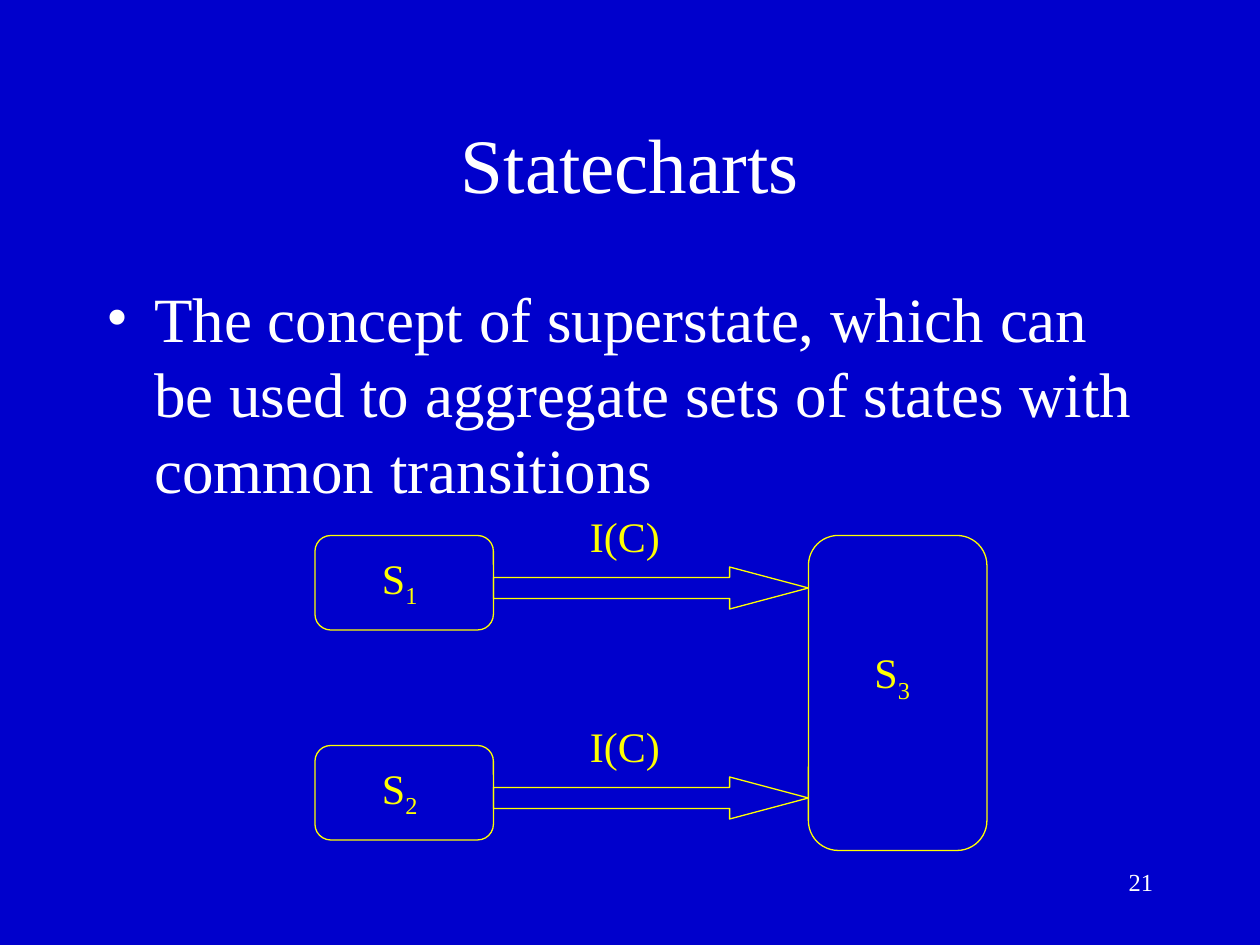
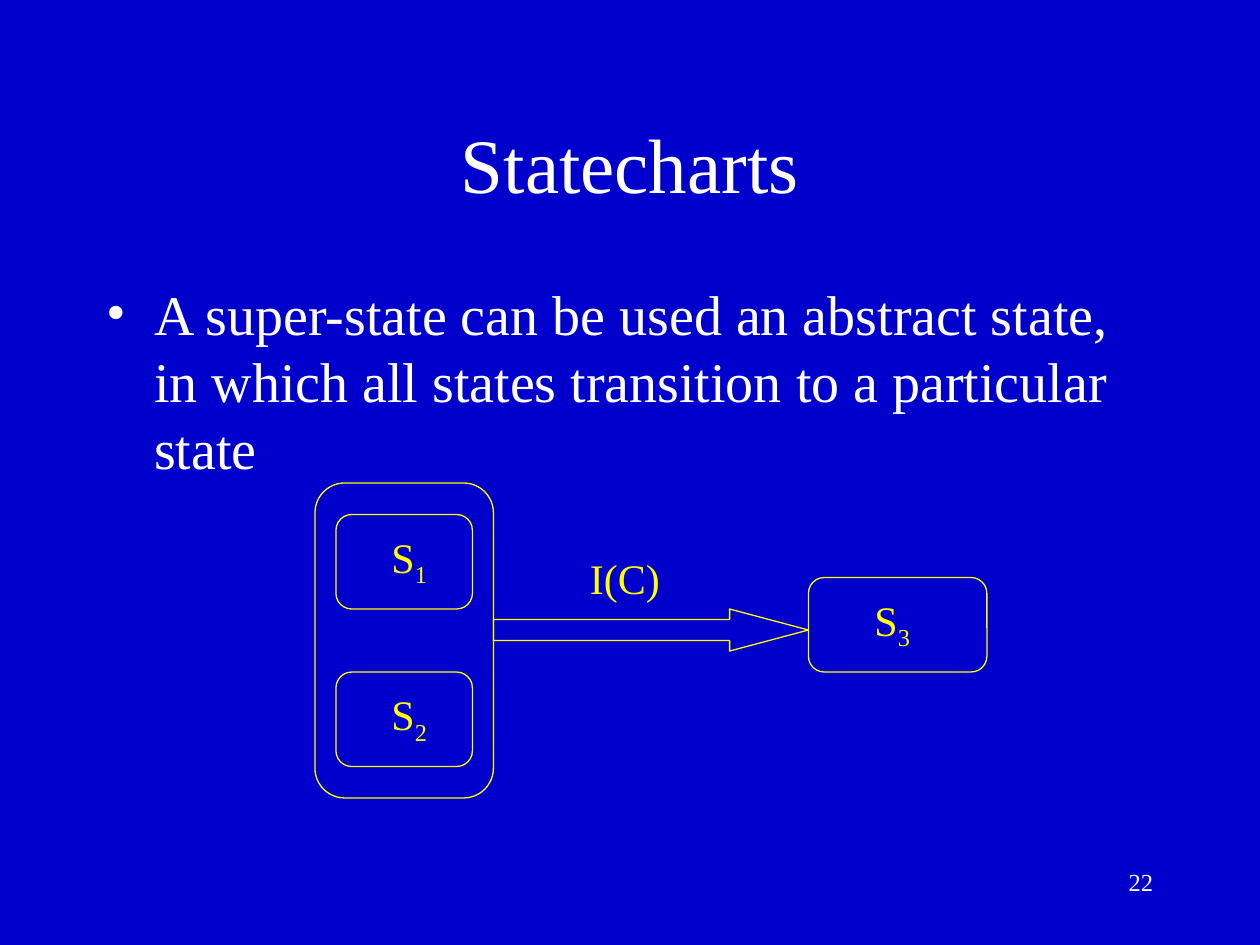
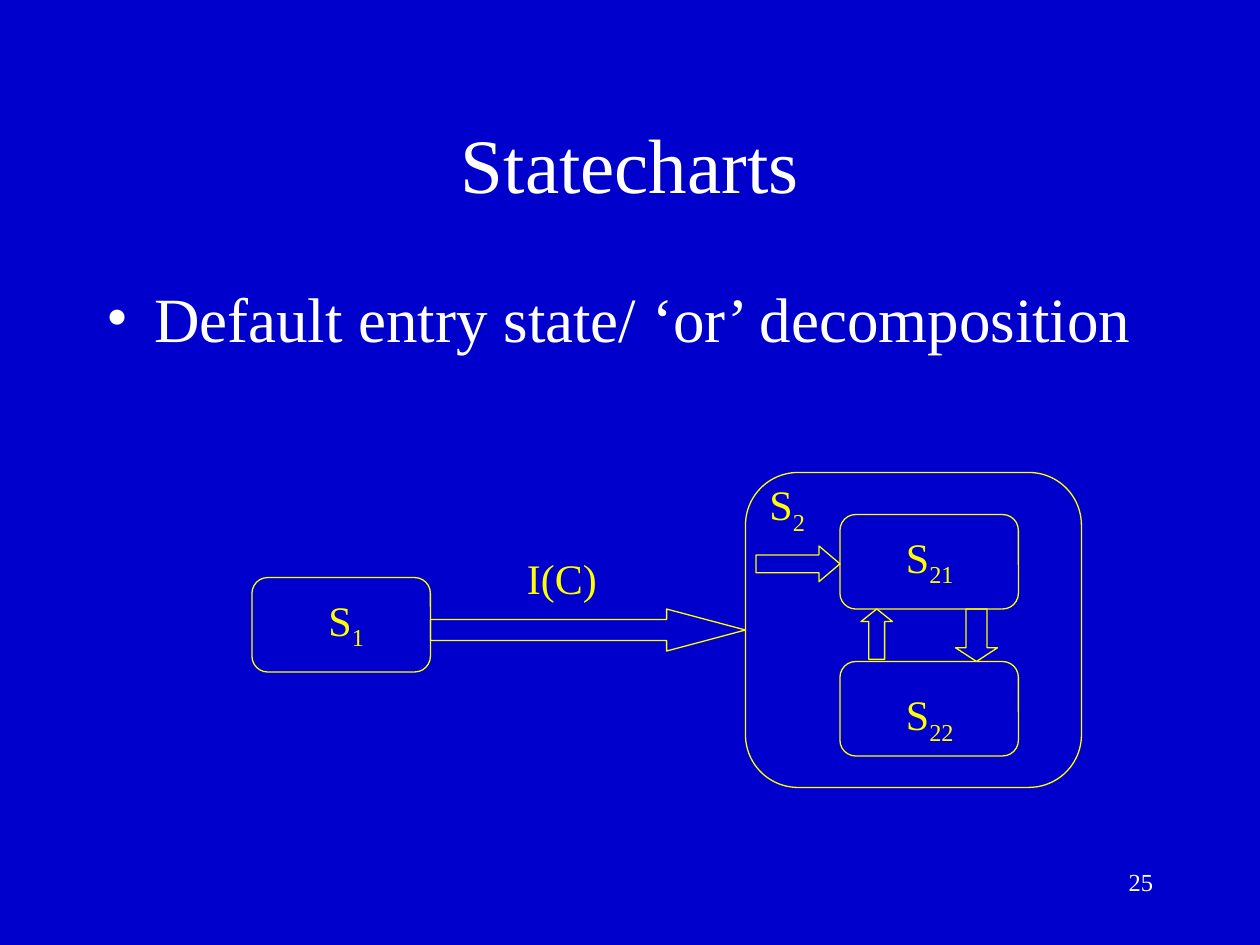
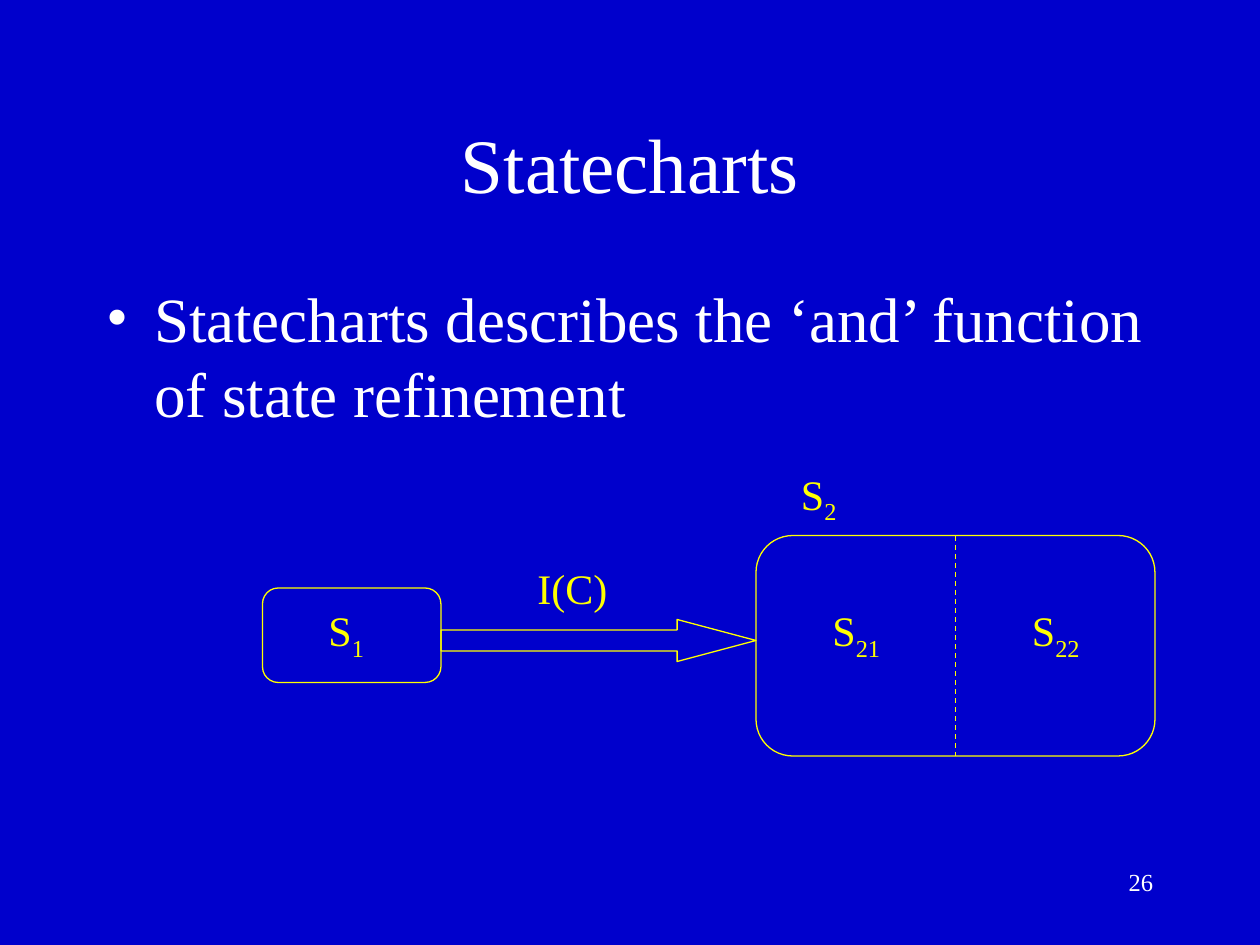
from dataclasses import dataclass

from lxml import etree
from pptx import Presentation
from pptx.dml.color import RGBColor
from pptx.enum.dml import MSO_LINE
from pptx.enum.shapes import MSO_CONNECTOR, MSO_SHAPE
from pptx.enum.text import MSO_ANCHOR, MSO_AUTO_SIZE, PP_ALIGN
from pptx.oxml.ns import qn
from pptx.util import Pt

ROUND = MSO_SHAPE.ROUNDED_RECTANGLE
RIGHT, UP, DOWN = MSO_SHAPE.RIGHT_ARROW, MSO_SHAPE.UP_ARROW, MSO_SHAPE.DOWN_ARROW
STRAIGHT, DASH = MSO_CONNECTOR.STRAIGHT, MSO_LINE.DASH
TOP, MIDDLE = MSO_ANCHOR.TOP, MSO_ANCHOR.MIDDLE
LEFT, CENTER, FLUSH = PP_ALIGN.LEFT, PP_ALIGN.CENTER, PP_ALIGN.RIGHT
FIT = MSO_AUTO_SIZE.SHAPE_TO_FIT_TEXT

PX = 7620  # EMU per px, 120 px to the inch


@dataclass(frozen=True)
class Theme:
    font: str = "Times New Roman"
    back: RGBColor = RGBColor(0x00, 0x00, 0xCC)
    text: RGBColor = RGBColor(0xFF, 0xFF, 0xFF)
    draw: RGBColor = RGBColor(0xFF, 0xFF, 0x00)
    title: int = 44
    label: int = 24
    number: int = 14
    line: float = 0.75
    corner: float = 0.167


THEME = Theme()

# Shared frames: left, top, width, height
PAGE = (1200, 900)
TITLE = (90, 80, 1020, 150)
BODY = (90, 260, 1020, 540)
NUMBER = (860, 820, 250, 60)
INDENT = 45
STATE = (170, 90)
INNER = (130, 90)
TALL = (170, 300)
MOVE = (300, 40)
HEAD = 75
EVENT = "I(C)"

# Content: states (left, top, size), moves (left, top) that carry the event,
# hops (kind, left, top, width, height, head), names (left, top, subscript)
SLIDES = [
    {
        "number": 21, "size": 36,
        "text": "The concept of superstate, which can be used to aggregate "
                "sets of states with common transitions",
        "states": [(300, 510, STATE), (300, 710, STATE), (770, 510, TALL)],
        "moves": [(470, 540), (470, 740)],
        "names": [(352, 520, "1"), (352, 720, "2"), (821, 610, "3")],
    },
    {
        "number": 22, "size": 32,
        "text": "A super-state can be used an abstract state, in which all "
                "states transition to a particular state",
        "states": [(300, 460, TALL), (320, 490, INNER), (320, 640, INNER),
                   (770, 550, STATE)],
        "moves": [(470, 580)],
        "names": [(361, 500, "1"), (361, 650, "2"), (821, 560, "3")],
    },
    {
        "number": 25, "size": 36,
        "text": "Default entry state/ ‘or’ decomposition",
        "states": [(240, 550, STATE), (710, 450, (320, 300)),
                   (800, 490, STATE), (800, 630, STATE)],
        "moves": [(410, 580)],
        "hops": [(DOWN, 910, 580, 40, 50, 13), (UP, 820, 580, 30, 48, 12),
                 (RIGHT, 720, 520, 80, 34, 20)],
        "names": [(301, 560, "1"), (721, 450, "2"), (851, 500, "21"),
                  (851, 650, "22")],
    },
    {
        "number": 26, "size": 36,
        "text": "Statecharts describes the ‘and’ function of state refinement",
        "states": [(250, 560, STATE), (720, 510, (380, 210))],
        "moves": [(420, 590)],
        "split": (910, 510, 720),
        "names": [(301, 570, "1"), (751, 440, "2"), (781, 570, "21"),
                  (971, 570, "22")],
    },
]


def scale(*px):
    return [n * PX for n in px]


# Text
def style(para, size, color):
    para.font.name = THEME.font
    para.font.size = Pt(size)
    para.font.color.rgb = color


def write(slide, frame, text, size, color, align=LEFT, anchor=TOP, wrap=True):
    box = slide.shapes.add_textbox(*scale(*frame)).text_frame
    box.word_wrap = wrap
    box.vertical_anchor = anchor
    para = box.paragraphs[0]
    para.alignment = align
    para.add_run().text = text
    style(para, size, color)
    return box


def add_bullet(slide, text, size):
    para = write(slide, BODY, text, size, THEME.text).paragraphs[0]
    props = para._p.get_or_add_pPr()
    props.set("marL", str(INDENT * PX))
    props.set("indent", str(-INDENT * PX))
    props.insert(0, etree.Element(qn("a:buFont"), typeface=THEME.font))
    props.insert(1, etree.Element(qn("a:buChar"), char="•"))


def add_label(slide, left, top, text, sub=""):
    size = (44 + 14 * len(sub), 67) if sub else (92, 60)
    box = write(slide, (left, top, *size), text, THEME.label, THEME.draw,
                wrap=False)
    box.auto_size = FIT
    if sub:
        run = box.paragraphs[0].add_run()
        run.text = sub
        run.font._element.set("baseline", "-25000")


# Drawing
def outline(slide, kind, frame, *adjust):
    shape = slide.shapes.add_shape(kind, *scale(*frame))
    shape.shadow.inherit = False
    shape.fill.background()
    shape.line.color.rgb = THEME.draw
    shape.line.width = Pt(THEME.line)
    for i, value in enumerate(adjust):
        shape.adjustments[i] = value


def add_arrow(slide, kind, left, top, wide, high, head):
    outline(slide, kind, (left, top, wide, high), 0.5, head / min(wide, high))


def add_split(slide, left, top, bottom):
    line = slide.shapes.add_connector(STRAIGHT, *scale(left, top, left, bottom))
    line.line.color.rgb = THEME.draw
    line.line.width = Pt(THEME.line)
    line.line.dash_style = DASH
    etree.SubElement(line._element.spPr, qn("a:effectLst"))


def add_slide(deck, data):
    slide = deck.slides.add_slide(deck.slide_layouts[6])
    slide.background.fill.solid()
    slide.background.fill.fore_color.rgb = THEME.back

    write(slide, TITLE, "Statecharts", THEME.title, THEME.text, CENTER, MIDDLE)
    add_bullet(slide, data["text"], data["size"])

    for left, top, size in data["states"]:
        outline(slide, ROUND, (left, top, *size), THEME.corner)
    for left, top in data["moves"]:
        add_arrow(slide, RIGHT, left, top, *MOVE, HEAD)
        add_label(slide, left + 80, top - 60, EVENT)
    for hop in data.get("hops", []):
        add_arrow(slide, *hop)
    if "split" in data:
        add_split(slide, *data["split"])
    for left, top, sub in data["names"]:
        add_label(slide, left, top, "S", sub)

    write(slide, NUMBER, str(data["number"]), THEME.number, THEME.text, FLUSH)


def main():
    deck = Presentation()
    deck.slide_width, deck.slide_height = scale(*PAGE)
    for data in SLIDES:
        add_slide(deck, data)
    deck.save("out.pptx")


if __name__ == "__main__":
    main()
